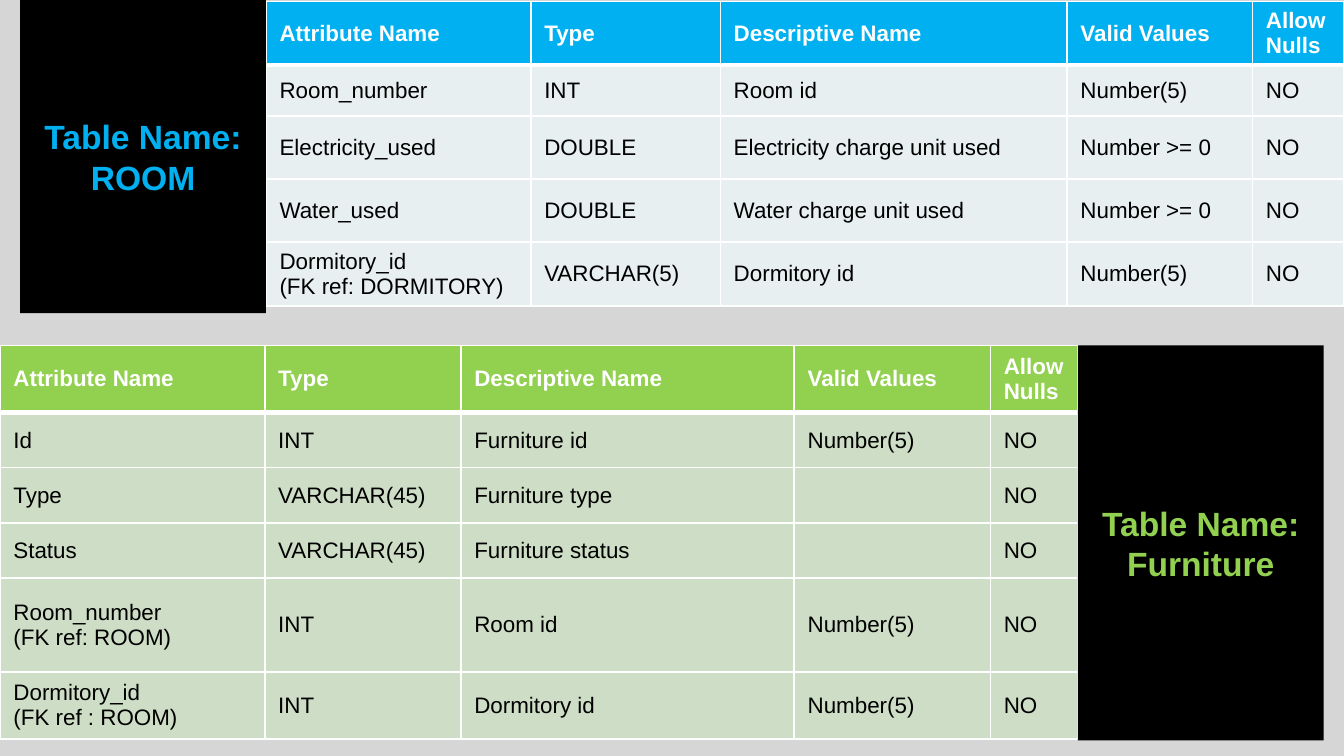
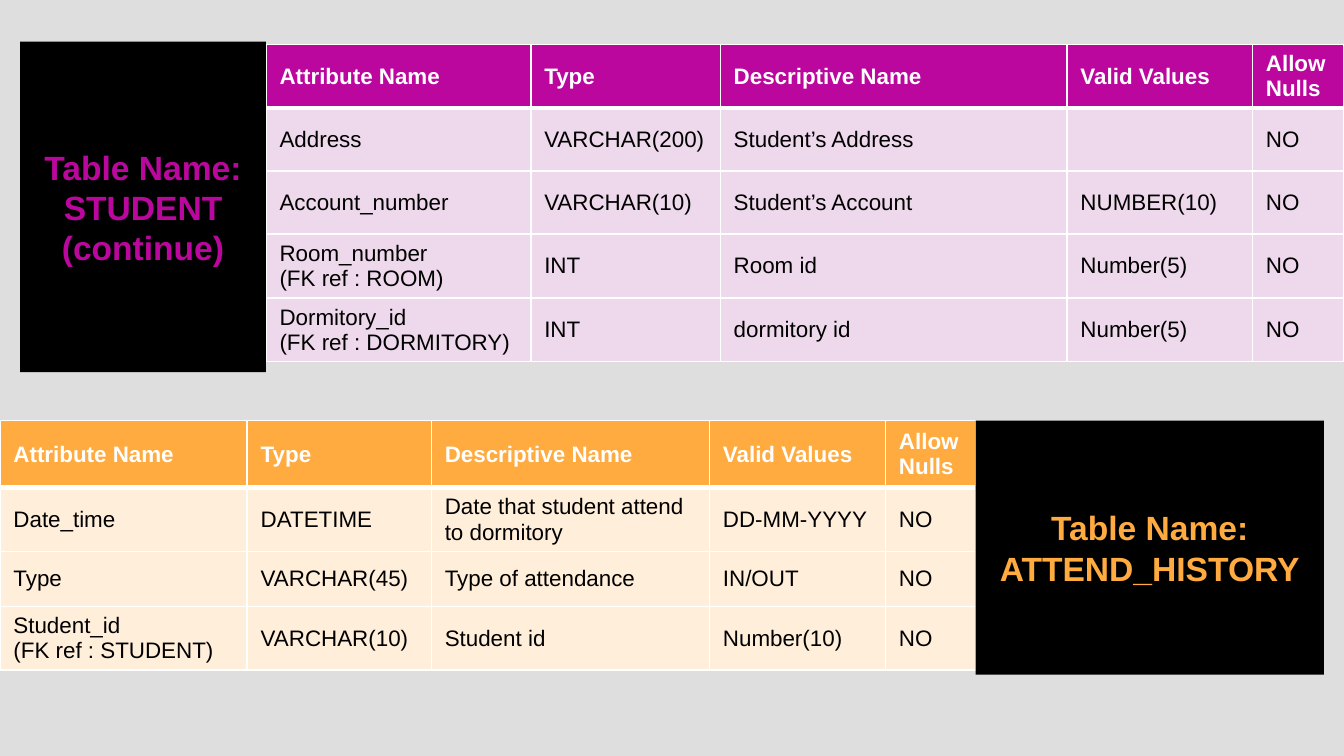
from dataclasses import dataclass

from lxml import etree
from pptx import Presentation
from pptx import util as u
from pptx.dml.color import RGBColor
from pptx.enum import shapes, text
from pptx.oxml import ns


@dataclass(frozen=True)
class Palette:
    accent: str
    body: str
    alpha: int = 100


@dataclass(frozen=True)
class Theme:
    font: str = "Arial"
    white: str = "FFFFFF"
    black: str = "000000"
    backgrounds: tuple = ("D6D6D6", "DEDEDE")
    room: Palette = Palette("00B0F0", "E7EFF1")
    furniture: Palette = Palette("92D050", "C3E8AD", 40)
    student: Palette = Palette("BC079F", "FED3F8", 50)
    history: Palette = Palette("FFAB40", "FFEED9")
    cell_size: int = 12
    panel_size: int = 18
    grid_line: float = 1
    header_line: float = 3
    text_line: float = 0.75
    margin: float = 0.15


T = Theme()
SLIDE_W = 10
SLIDE_H = SLIDE_W * 9 / 16
HEADER = ("Attribute Name", "Type", "Descriptive Name", "Valid Values", "Allow Nulls")

LEFT_PANEL_COLS = (1.97, 1.41, 2.58, 1.38, 0.68)
FURNITURE_COLS = (1.97, 1.46, 2.48, 1.46, 0.65)
HISTORY_COLS = (1.84, 1.37, 2.07, 1.31, 0.67)

ROOM = (
    ("Room_number", "INT", "Room id", "Number(5)"),
    ("Electricity_used", "DOUBLE", "Electricity charge unit used", "Number >= 0"),
    ("Water_used", "DOUBLE", "Water charge unit used", "Number >= 0"),
    ("Dormitory_id\n(FK ref: DORMITORY)", "VARCHAR(5)", "Dormitory id", "Number(5)"),
)
FURNITURE = (
    ("Id", "INT", "Furniture id", "Number(5)"),
    ("Type", "VARCHAR(45)", "Furniture type", ""),
    ("Status", "VARCHAR(45)", "Furniture status", ""),
    ("Room_number\n(FK ref: ROOM)", "INT", "Room id", "Number(5)"),
    ("Dormitory_id\n(FK ref : ROOM)", "INT", "Dormitory id", "Number(5)"),
)
STUDENT = (
    ("Address", "VARCHAR(200)", "Student’s Address", ""),
    ("Account_number", "VARCHAR(10)", "Student’s Account", "NUMBER(10)"),
    ("Room_number\n(FK ref : ROOM)", "INT", "Room id", "Number(5)"),
    ("Dormitory_id\n(FK ref : DORMITORY)", "INT", "dormitory id", "Number(5)"),
)
HISTORY = (
    ("Date_time", "DATETIME", "Date that student attend to dormitory", "DD-MM-YYYY"),
    ("Type", "VARCHAR(45)", "Type of attendance", "IN/OUT"),
    ("Student_id\n(FK ref : STUDENT)", "VARCHAR(10)", "Student id", "Number(10)"),
)


def set_fill(fill, color):
    fill.solid()
    fill.fore_color.rgb = RGBColor.from_string(color)


def add_line(parent, tag, width):
    ln = etree.SubElement(parent, ns.qn(tag), w=str(u.Pt(width)))
    fill = etree.SubElement(ln, ns.qn("a:solidFill"))
    etree.SubElement(fill, ns.qn("a:srgbClr"), val=T.white)
    return ln


def format_runs(tf, size, color, bold):
    runs = [r for p in tf.paragraphs for r in p.runs]
    for r in runs:
        r.font.name = T.font
        r.font.size = u.Pt(size)
        r.font.bold = bold
        r.font.color.rgb = RGBColor.from_string(color)
    return runs


def format_cell(cell, value, row, palette):
    header = row == 0
    cell.text_frame.text = value
    cell.vertical_anchor = text.MSO_ANCHOR.MIDDLE
    format_runs(cell.text_frame, T.cell_size, T.white if header else T.black, header)
    tc_pr = cell._tc.get_or_add_tcPr()
    top = T.header_line if row == 1 else T.grid_line
    bottom = T.header_line if header else T.grid_line
    widths = {"a:lnL": T.grid_line, "a:lnR": T.grid_line, "a:lnT": top, "a:lnB": bottom}
    for tag, width in widths.items():
        add_line(tc_pr, tag, width)
    set_fill(cell.fill, palette.accent if header else palette.body)
    if not header and palette.alpha < 100:
        clr = tc_pr.find(ns.qn("a:solidFill"))[0]
        etree.SubElement(clr, ns.qn("a:alpha"), val=str(palette.alpha * 1000))


def add_attributes(s, left, top, height, cols, row_heights, rows, palette):
    records = [HEADER] + [row + ("NO",) for row in rows]
    frame = s.shapes.add_table(
        len(records), len(cols), u.Inches(left), u.Inches(top),
        u.Inches(sum(cols)), u.Inches(height),
    )
    table = frame.table
    for column, width in zip(table.columns, cols):
        column.width = u.Inches(width)
    for i, (record, row_height) in enumerate(zip(records, row_heights)):
        table.rows[i].height = u.Inches(row_height)
        for j, value in enumerate(record):
            format_cell(table.cell(i, j), value, i, palette)
    frame.height = u.Inches(height)


def add_panel(s, left, top, width, height, title, color):
    sp = s.shapes.add_shape(
        shapes.MSO_SHAPE.RECTANGLE,
        u.Inches(left), u.Inches(top), u.Inches(width), u.Inches(height),
    )
    sp.shadow.inherit = False
    set_fill(sp.fill, T.black)
    sp.line.fill.background()
    tf = sp.text_frame
    tf.word_wrap = True
    tf.vertical_anchor = text.MSO_ANCHOR.MIDDLE
    tf.text = title
    for p in tf.paragraphs:
        p.alignment = text.PP_ALIGN.CENTER
    for r in format_runs(tf, T.panel_size, color, True):
        r_pr = r._r.get_or_add_rPr()
        r_pr.insert(0, add_line(r_pr, "a:ln", T.text_line))


def add_entity(s, title, palette, cols, rows, row_heights, table_box, panel_box,
               panel_on_left=False):
    table_width = sum(cols)
    panel_width = SLIDE_W - T.margin - table_width
    table_left = SLIDE_W - table_width if panel_on_left else 0
    panel_left = T.margin if panel_on_left else table_width
    add_attributes(s, table_left, *table_box, cols, row_heights, rows, palette)
    panel_top, panel_height = panel_box
    add_panel(s, panel_left, panel_top, panel_width, panel_height, title, palette.accent)


def add_slide(prs, background):
    s = prs.slides.add_slide(prs.slide_layouts[6])
    set_fill(s.background.fill, background)
    return s


def main():
    prs = Presentation()
    prs.slide_width, prs.slide_height = u.Inches(SLIDE_W), u.Inches(SLIDE_H)
    first, second = (add_slide(prs, color) for color in T.backgrounds)

    add_entity(first, "Table Name: ROOM", T.room, LEFT_PANEL_COLS, ROOM,
               (0.47, 0.38, 0.47, 0.47, 0.47), (0.01, 2.33), (0, 2.33), True)
    add_entity(first, "Table Name: Furniture", T.furniture, FURNITURE_COLS, FURNITURE,
               (0.5, 0.41, 0.41, 0.41, 0.7, 0.5), (2.57, 2.94), (2.57, 2.94))

    add_entity(second, "Table Name: STUDENT\n(continue)", T.student, LEFT_PANEL_COLS,
               STUDENT, (0.47,) * 5, (0.33, 2.45), (0.31, 2.46), True)
    add_entity(second, "Table Name: ATTEND_HISTORY", T.history, HISTORY_COLS, HISTORY,
               (0.5, 0.41, 0.41, 0.41), (3.13, 1.91), (3.13, 1.89))

    prs.save("out.pptx")


if __name__ == "__main__":
    main()
